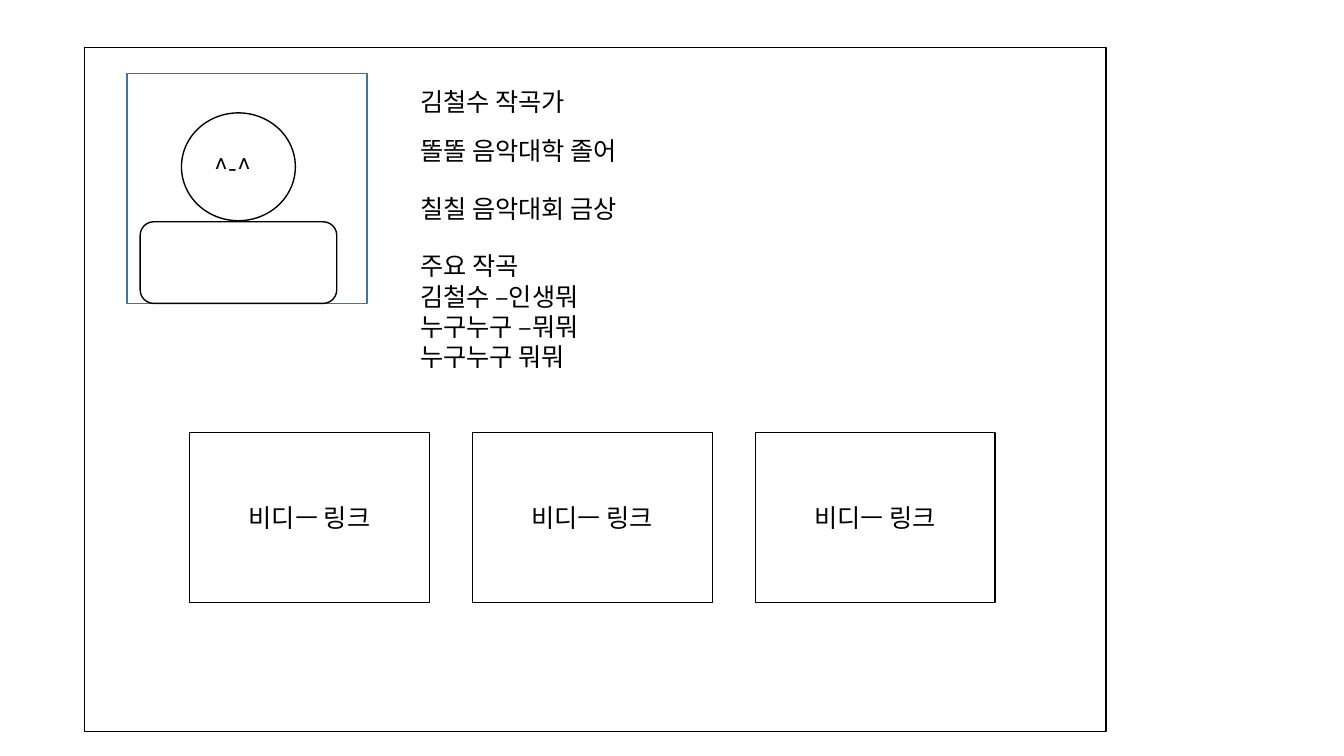
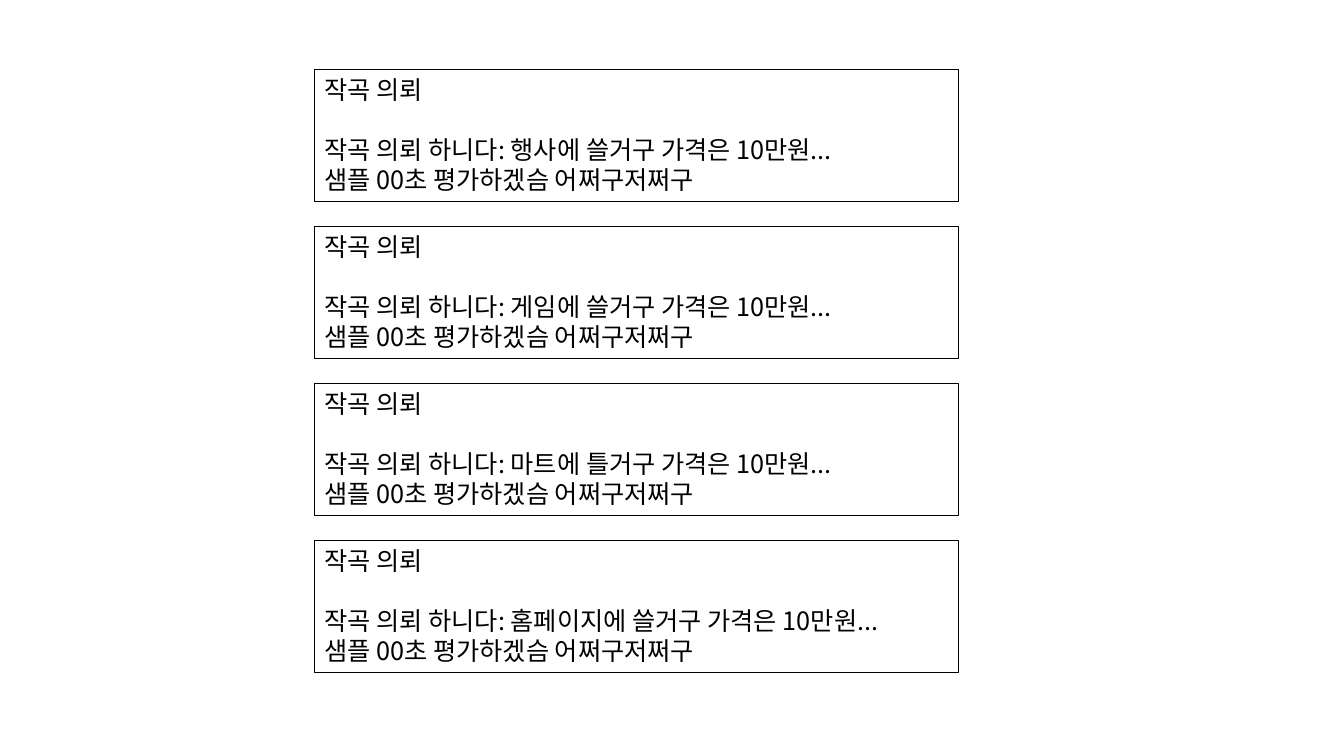
import pptx
import pptx.util
import pptx.dml.color
import pptx.enum.shapes
import pptx.enum.text
import pptx.oxml.ns
import lxml.etree

Inches = pptx.util.Inches
Pt = pptx.util.Pt
SHAPE = pptx.enum.shapes.MSO_SHAPE
ALIGN = pptx.enum.text.PP_ALIGN
ANCHOR = pptx.enum.text.MSO_ANCHOR

FONT = "Noto Sans CJK KR"
BLACK = "000000"
BLUE = "43739E"


def add_outline(shapes, kind, left, top, width, height, color=BLACK, weight=1):
    """Add an unfilled shape with a thin outline and return it."""
    box = shapes.add_shape(kind, Inches(left), Inches(top), Inches(width), Inches(height))
    box.shadow.inherit = False
    box.fill.background()
    box.line.color.rgb = pptx.dml.color.RGBColor.from_string(color)
    box.line.width = Pt(weight)
    return box


def write_text(box, text, align=ALIGN.LEFT, anchor=ANCHOR.TOP, wrap=True, heading_gap=0):
    """Write one paragraph per line, with an optional gap in points below the first."""
    frame = box.text_frame
    frame.word_wrap = wrap
    frame.vertical_anchor = anchor
    for index, line in enumerate(text.split("\n")):
        para = frame.add_paragraph() if index else frame.paragraphs[0]
        para.alignment = align
        para.line_spacing = Pt(21.5)
        para.space_after = Pt(0 if index else heading_gap)
        span = para.add_run()
        span.text = line
        span.font.size = Pt(18)
        span.font.name = FONT
        span.font.color.rgb = pptx.dml.color.RGBColor.from_string(BLACK)
        east_asian = lxml.etree.SubElement(span.font._element, pptx.oxml.ns.qn("a:ea"))
        east_asian.set("typeface", FONT)


deck = pptx.Presentation()
deck.slide_width = Inches(13.33)
deck.slide_height = Inches(7.5)
blank_layout = deck.slide_layouts[6]

# Composer profile
page = deck.slides.add_slide(blank_layout)
add_outline(page.shapes, SHAPE.RECTANGLE, 0.84, 0.47, 10.13, 6.79)

portrait = page.shapes.add_group_shape().shapes
add_outline(portrait, SHAPE.RECTANGLE, 1.26, 0.73, 2.38, 2.28, color=BLUE)
add_outline(portrait, SHAPE.OVAL, 1.8, 1.12, 1.13, 1.07)
add_outline(portrait, SHAPE.ROUNDED_RECTANGLE, 1.39, 2.2, 1.95, 0.81)
face = portrait.add_textbox(Inches(2.03), Inches(1.46), Inches(0.66), Inches(0.4))
write_text(face, "^-^", wrap=False)

profile = [
    (0.81, 1.81, 0.4, "김철수 작곡가"),
    (1.29, 2.4, 0.4, "똘똘 음악대학 졸어"),
    (1.87, 2.4, 0.4, "칠칠 음악대회 금상"),
    (2.44, 1.94, 1.31, "주요 작곡\n김철수 –인생뭐\n누구누구 –뭐뭐\n누구누구 뭐뭐"),
]
for top, width, height, text in profile:
    box = page.shapes.add_textbox(Inches(4.07), Inches(top), Inches(width), Inches(height))
    write_text(box, text, wrap=False)

for column in range(3):
    card = add_outline(page.shapes, SHAPE.RECTANGLE, 1.88 + 2.805 * column, 4.29, 2.38, 1.69)
    write_text(card, "비디ㅡ 링크", align=ALIGN.CENTER, anchor=ANCHOR.MIDDLE)

# Commission requests
page = deck.slides.add_slide(blank_layout)
purposes = ["행사에 쓸거구", "게임에 쓸거구", "마트에 틀거구", "홈페이지에 쓸거구"]
for row, purpose in enumerate(purposes):
    request = add_outline(page.shapes, SHAPE.RECTANGLE, 3.12, 0.69 + 1.557 * row, 6.39, 1.31,
                          weight=0.75)
    write_text(request,
               f"작곡 의뢰\n작곡 의뢰 하니다: {purpose} 가격은 10만원...\n"
               "샘플 00초 평가하겠슴 어쩌구저쩌구",
               heading_gap=21.5)

deck.save("out.pptx")
